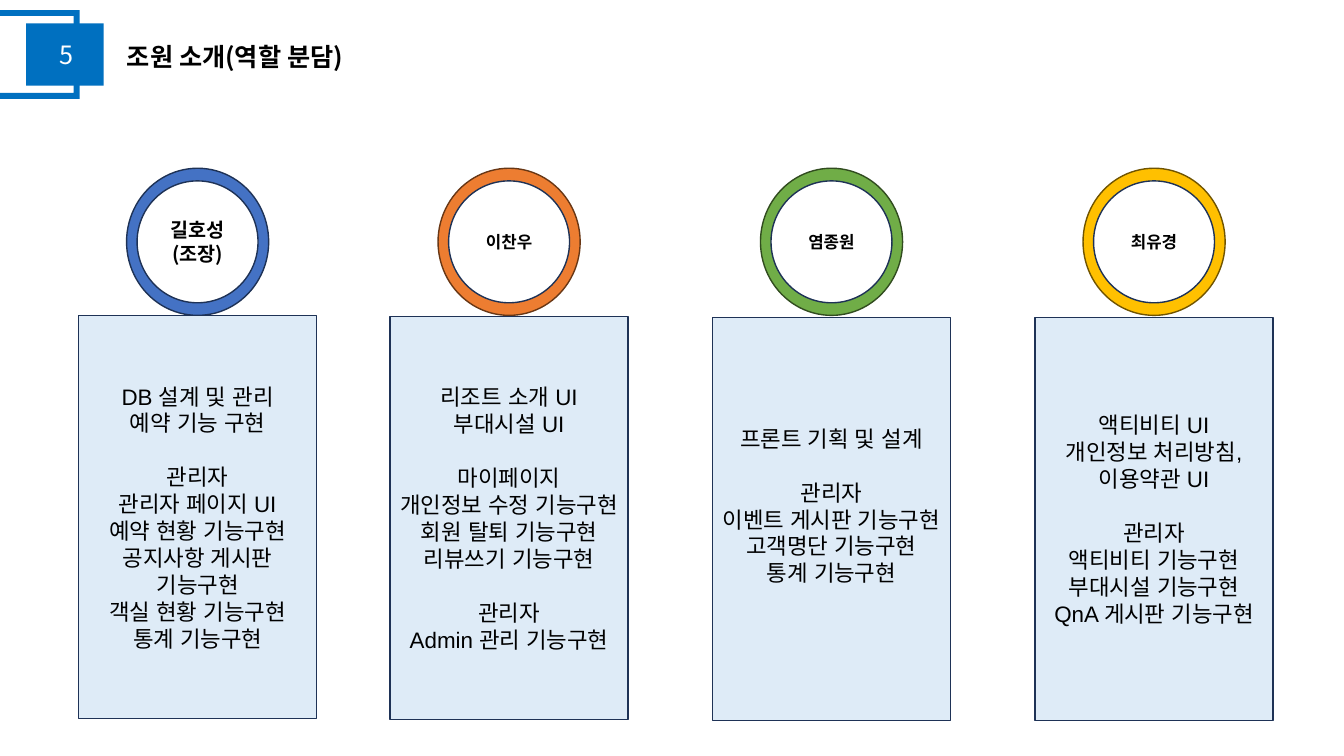
import dataclasses

import pptx
import pptx.dml.color
import pptx.enum.shapes
import pptx.enum.text
import pptx.oxml.ns
import pptx.util
from lxml import etree

Pt = pptx.util.Pt
Shape = pptx.enum.shapes.MSO_SHAPE
Align = pptx.enum.text.PP_ALIGN
Anchor = pptx.enum.text.MSO_ANCHOR


@dataclasses.dataclass(frozen=True)
class Theme:
    accent: str = "0070C0"
    white: str = "FFFFFF"
    black: str = "000000"
    outline: str = "1E3256"
    card: str = "DEEBF7"
    heading_font: str = "Noto Sans CJK KR"
    body_font: str = "Arial"
    heading_size: float = 18
    leader_size: float = 14
    member_size: float = 12
    task_size: float = 16
    group_gap: float = 19.3


@dataclasses.dataclass(frozen=True)
class Member:
    name: list
    ring: str
    ring_line: str
    left: float
    top: float
    groups: list  # task groups, separated by a gap
    name_font: str = Theme.body_font
    name_size: float = Theme.member_size
    bottom_gap: float = 0


THEME = Theme()
CARD_WIDTH, CARD_HEIGHT = 169.9, 288
RING_WIDTH, RING_HEIGHT, RING_TOP = 101.5, 105.1, 120.2
DISC_WIDTH, DISC_HEIGHT = 86.4, 87.1

MEMBERS = [
    Member(["길호성", "(조장)"], "4472C4", "1E3256", 56.2, 225.4, [
        ["DB 설계 및 관리", "예약 기능 구현"],
        ["관리자", "관리자 페이지 UI", "예약 현황 기능구현",
         "공지사항 게시판 기능구현", "객실 현황 기능구현", "통계 기능구현"],
    ], THEME.heading_font, THEME.leader_size),
    Member(["이찬우"], "ED7D31", "683715", 278.7, 226.1, [
        ["리조트 소개 UI", "부대시설 UI"],
        ["마이페이지", "개인정보 수정 기능구현", "회원 탈퇴 기능구현", "리뷰쓰기 기능구현"],
        ["관리자", "Admin 관리 기능구현"],
    ], THEME.heading_font),
    Member(["염종원"], "70AD47", "314C1F", 509, 226.8, [
        ["프론트 기획 및 설계"],
        ["관리자", "이벤트 게시판 기능구현", "고객명단 기능구현", "통계 기능구현"],
    ], bottom_gap=THEME.group_gap),
    Member(["최유경"], "FFC000", "705400", 739.4, 226.8, [
        ["액티비티 UI", "개인정보 처리방침,", "이용약관 UI"],
        ["관리자", "액티비티 기능구현", "부대시설 기능구현", "QnA 게시판 기능구현"],
    ]),
]


def rgb(value):
    return pptx.dml.color.RGBColor.from_string(value)


def add_shape(slide, kind, left, top, width, height, fill, line=None):
    shape = slide.shapes.add_shape(kind, Pt(left), Pt(top), Pt(width), Pt(height))
    shape.shadow.inherit = False
    shape.fill.solid()
    shape.fill.fore_color.rgb = rgb(fill)
    if line:
        shape.line.color.rgb = rgb(line)
        shape.line.width = Pt(1)
    else:
        shape.line.fill.background()
    return shape


def format_paragraph(paragraph, font, size, color, bold=False, align=Align.CENTER):
    paragraph.alignment = align
    paragraph.font.name = font
    paragraph.font.size = Pt(size)
    paragraph.font.bold = bold
    paragraph.font.color.rgb = rgb(color)
    # Korean text takes its face from the East Asian font
    properties = paragraph._p.pPr.find(pptx.oxml.ns.qn("a:defRPr"))
    etree.SubElement(properties, pptx.oxml.ns.qn("a:ea")).set("typeface", font)


def write_groups(shape, groups, font, size, bold=False):
    frame = shape.text_frame
    frame.word_wrap = True
    frame.vertical_anchor = Anchor.MIDDLE
    frame.text = "\n".join(line for group in groups for line in group)
    paragraphs = iter(frame.paragraphs)
    for group_index, group in enumerate(groups):
        for line_index in range(len(group)):
            paragraph = next(paragraphs)
            if group_index and line_index == 0:
                paragraph.space_before = Pt(THEME.group_gap)
            format_paragraph(paragraph, font, size, THEME.black, bold)


def add_header(slide, title, number):
    # Page badge
    badge = add_shape(slide, Shape.FRAME, -18, 7.2, 74.9, 63.4, THEME.accent)
    badge.adjustments[0] = 0.066
    add_shape(slide, Shape.RECTANGLE, 18.7, 16.6, 55.4, 44.6, THEME.accent)
    label = slide.shapes.add_textbox(Pt(28.8), Pt(24.5), Pt(36.7), Pt(28.8))
    label.text_frame.text = number
    format_paragraph(label.text_frame.paragraphs[0], THEME.heading_font,
                     THEME.heading_size, THEME.white)

    # Title
    placeholder = slide.shapes.title
    placeholder.left, placeholder.top = Pt(83.5), Pt(25.9)
    placeholder.width, placeholder.height = Pt(489), Pt(28.8)
    frame = placeholder.text_frame
    frame.text = title
    frame.auto_size = pptx.enum.text.MSO_AUTO_SIZE.NONE
    frame.vertical_anchor = Anchor.TOP
    format_paragraph(frame.paragraphs[0], THEME.heading_font, THEME.heading_size,
                     THEME.black, True, Align.LEFT)


def add_member(slide, member):
    center_x = member.left + CARD_WIDTH / 2
    center_y = RING_TOP + RING_HEIGHT / 2

    # Name in a coloured ring
    add_shape(slide, Shape.OVAL, center_x - RING_WIDTH / 2, RING_TOP,
              RING_WIDTH, RING_HEIGHT, member.ring, member.ring_line)
    disc = add_shape(slide, Shape.OVAL, center_x - DISC_WIDTH / 2,
                     center_y - DISC_HEIGHT / 2, DISC_WIDTH, DISC_HEIGHT,
                     THEME.white, THEME.outline)
    write_groups(disc, [member.name], member.name_font, member.name_size, True)

    # Task card
    card = add_shape(slide, Shape.RECTANGLE, member.left, member.top,
                     CARD_WIDTH, CARD_HEIGHT, THEME.card, THEME.outline)
    card.text_frame.margin_bottom = Pt(3.6 + member.bottom_gap)
    write_groups(card, member.groups, THEME.body_font, THEME.task_size)


def main():
    presentation = pptx.Presentation()
    presentation.slide_width, presentation.slide_height = Pt(960), Pt(540)
    slide = presentation.slides.add_slide(presentation.slide_layouts[5])
    add_header(slide, "조원 소개(역할 분담)", "5")
    for member in MEMBERS:
        add_member(slide, member)
    presentation.save("out.pptx")


if __name__ == "__main__":
    main()
